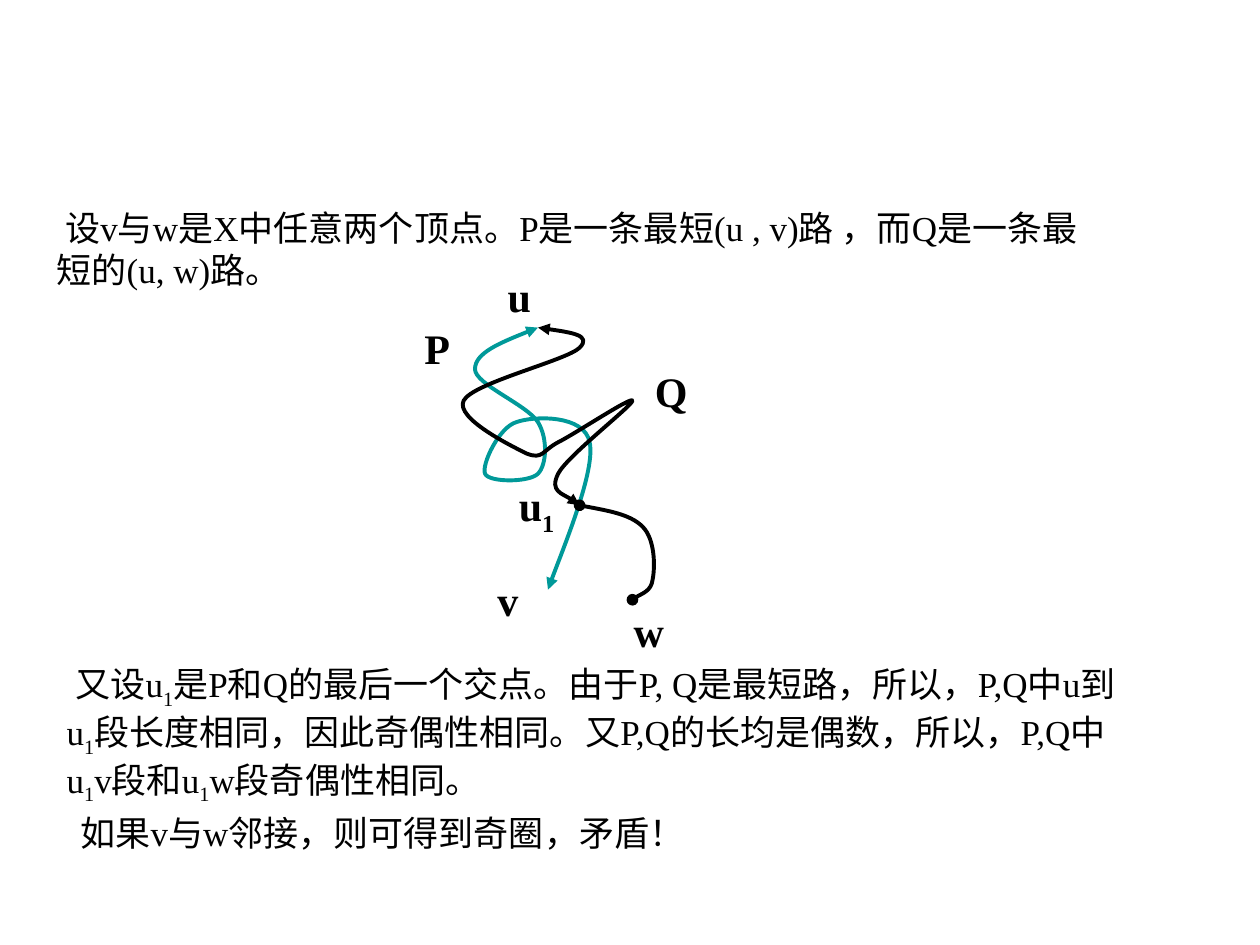
from dataclasses import dataclass

from lxml import etree
from pptx import Presentation
from pptx.dml.color import RGBColor
from pptx.enum.text import MSO_AUTO_SIZE
from pptx.oxml.ns import qn
from pptx.util import Inches, Pt

FIT_SHAPE = MSO_AUTO_SIZE.SHAPE_TO_FIT_TEXT


@dataclass(frozen=True)
class Theme:
    font: str = "Times New Roman"
    ink: str = "000000"
    teal: str = "009999"
    body: float = 20
    label: float = 24
    stroke: float = 2.25
    space_before: float = 12.5
    indent: float = 0.07


class ProofSlide:
    def __init__(self, prs, theme):
        self.theme = theme
        self.slide = prs.slides.add_slide(prs.slide_layouts[6])

    def text(self, left, top, width, height, runs, size, bold=False):
        box = self.slide.shapes.add_textbox(
            Inches(left), Inches(top), Inches(width), Inches(height))
        frame = box.text_frame
        frame.word_wrap = True
        frame.auto_size = FIT_SHAPE
        paragraph = frame.paragraphs[0]
        for index, words in enumerate(runs):
            run = paragraph.add_run()
            run.text = words
            run.font.name = self.theme.font
            run.font.size = Pt(size)
            run.font.bold = bold
            run.font.color.rgb = RGBColor.from_string(self.theme.ink)
            if index % 2:
                run.font._element.set("baseline", "-25000")
        return paragraph

    def statement(self, left, top, height, *runs):
        paragraph = self.text(left, top, 8.58, height, runs, self.theme.body)
        paragraph.space_before = Pt(self.theme.space_before)
        paragraph._p.get_or_add_pPr().set("indent", str(Inches(self.theme.indent)))

    def label(self, left, top, width, height, *runs):
        self.text(left, top, width, height, runs, self.theme.label, bold=True)

    def curve(self, points, color, end):
        start, *rest = [(Inches(x), Inches(y)) for x, y in points]
        builder = self.slide.shapes.build_freeform(*start)
        builder.add_line_segments(rest, close=False)
        route = builder.convert_to_shape()
        route.shadow.inherit = False
        route.fill.background()
        route.line.color.rgb = RGBColor.from_string(color)
        route.line.width = Pt(self.theme.stroke)
        segments = list(route._element.iter(qn("a:lnTo")))
        for first in range(0, len(segments), 3):
            bezier = etree.Element(qn("a:cubicBezTo"))
            segments[first].addprevious(bezier)
            for segment in segments[first:first + 3]:
                bezier.append(segment[0])
                segment.getparent().remove(segment)
        outline = route.line._get_or_add_ln()
        for tag in ("a:headEnd", "a:tailEnd"):
            etree.SubElement(outline, qn(tag), type=end)


theme = Theme()
prs = Presentation()
prs.slide_width, prs.slide_height = Inches(10), Inches(7.5)
proof = ProofSlide(prs, theme)

proof.statement(0.35, 1.59, 0.77,
                "设v与w是X中任意两个顶点。P是一条最短(u , v)路 ，而Q是一条最 短的(u, w)路。")

u, u1, w = (4.27, 2.6), (4.6, 4.01), (5.02, 4.76)
path_p = [u, (4.02, 2.7), (3.77, 2.8), (3.77, 2.93),
          (3.77, 3.05), (4.18, 3.21), (4.27, 3.35),
          (4.35, 3.48), (4.34, 3.69), (4.27, 3.76),
          (4.2, 3.83), (3.88, 3.83), (3.85, 3.76),
          (3.82, 3.69), (3.96, 3.39), (4.1, 3.35),
          (4.24, 3.3), (4.64, 3.29), (4.68, 3.51),
          (4.73, 3.73), (4.41, 4.5), (4.35, 4.68)]
path_q = [u, (4.48, 2.63), (4.7, 2.66), (4.6, 2.76),
          (4.5, 2.86), (3.75, 3.04), (3.68, 3.18),
          (3.61, 3.32), (4.06, 3.54), (4.18, 3.6),
          (4.31, 3.65), (4.3, 3.58), (4.43, 3.51),
          (4.57, 3.44), (5.02, 3.14), (5.02, 3.18),
          (5.02, 3.22), (4.5, 3.62), (4.43, 3.76),
          (4.36, 3.9), (4.57, 3.97), u1]
path_q_end = [u1, (4.8, 4.05), (5, 4.08), (5.1, 4.18),
              (5.2, 4.28), (5.2, 4.5), (5.18, 4.6),
              (5.17, 4.69), (5.05, 4.73), w]
for route, color, end in [(path_p, theme.teal, "triangle"),
                          (path_q, theme.ink, "triangle"),
                          (path_q_end, theme.ink, "oval")]:
    proof.curve(route, color, end)

for name, left, top, width in [("Q", 5.1, 2.85, 0.93), ("P", 3.27, 2.51, 0.93),
                               ("v", 3.85, 4.51, 0.77), ("u", 3.93, 2.1, 0.77),
                               ("w", 4.93, 4.76, 0.77)]:
    proof.label(left, top, width, 0.5, name)
proof.label(4.02, 3.76, 0.77, 0.56, "u", "1")

proof.statement(0.43, 5.21, 1.24,
                "又设u", "1",
                "是P和Q的最后一个交点。由于P, Q是最短路，所以，P,Q中u到u", "1",
                "段长度相同，因此奇偶性相同。又P,Q的长均是偶数，所以，P,Q中u", "1",
                "v段和u", "1", "w段奇偶性相同。")
proof.statement(0.47, 6.39, 0.44, "如果v与w邻接，则可得到奇圈，矛盾！")

prs.save("out.pptx")
